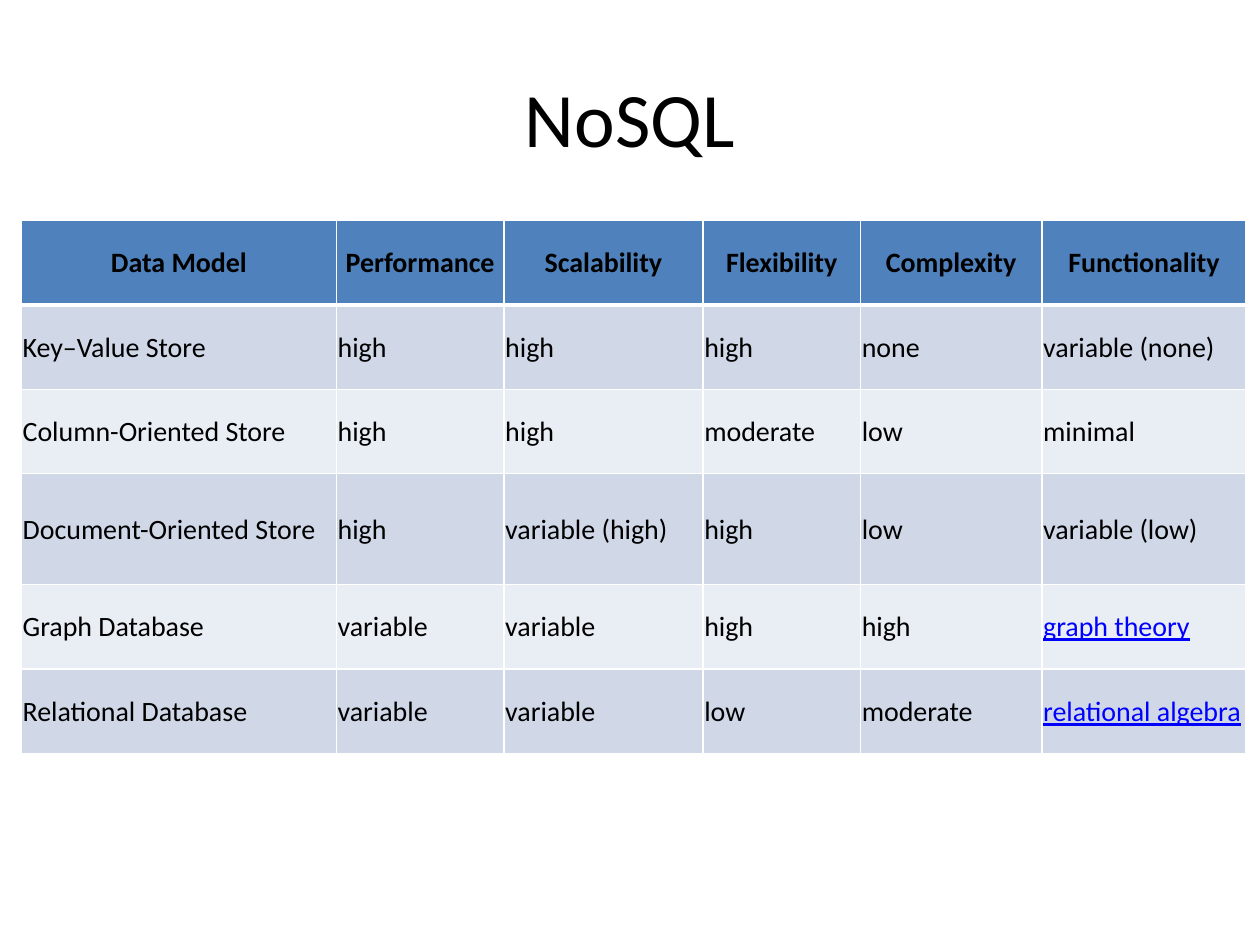
from lxml.etree import SubElement
from pptx import Presentation
from pptx.dml.color import RGBColor
from pptx.enum.text import MSO_ANCHOR, PP_ALIGN
from pptx.oxml.ns import qn
from pptx.util import Inches, Pt

COLORS = {
    "text": "000000",
    "link": "0000FF",
    "header": "4F81BD",
    "odd_row": "D0D8E8",
    "even_row": "E9EDF4",
    "border": "FFFFFF",
}
FONT = "Calibri"

COLUMN_WIDTHS = [2.5, 1.33, 1.58, 1.25, 1.44, 1.62]
ROW_HEIGHTS = [0.67, 0.67, 0.67, 0.88, 0.67, 0.67]
ROWS = [
    ["Data Model", "Performance", "Scalability", "Flexibility", "Complexity", "Functionality"],
    ["Key–Value Store", "high", "high", "high", "none", "variable (none)"],
    ["Column-Oriented Store", "high", "high", "moderate", "low", "minimal"],
    ["Document-Oriented Store", "high", "variable (high)", "high", "low", "variable (low)"],
    ["Graph Database", "variable", "variable", "high", "high", "graph theory"],
    ["Relational Database", "variable", "variable", "low", "moderate", "relational algebra"],
]
LINK_TEXTS = {"graph theory", "relational algebra"}


def set_attributes(target, values):
    for name, value in values.items():
        setattr(target, name, value)


def write_text(frame, text, align, color="text", **font_values):
    para = frame.paragraphs[0]
    para.alignment = align
    span = para.add_run()
    span.text = text
    set_attributes(span.font, {"name": FONT, **font_values})
    span.font.color.rgb = RGBColor.from_string(COLORS[color])


def add_title(page, text):
    box = page.shapes.add_textbox(Inches(0.5), Inches(0.3), Inches(9), Inches(1.25))
    set_attributes(box.text_frame, {"word_wrap": True, "vertical_anchor": MSO_ANCHOR.MIDDLE})
    write_text(box.text_frame, text, PP_ALIGN.CENTER, size=Pt(44))


def set_borders(cell, top, bottom):
    """Draw the four cell edges; the edges must come before the fill."""
    properties = cell._tc.get_or_add_tcPr()
    widths = {"a:lnL": 1, "a:lnR": 1, "a:lnT": top, "a:lnB": bottom}
    for index, (tag, width) in enumerate(widths.items()):
        line = SubElement(properties, qn(tag), w=str(Pt(width)))
        fill = SubElement(line, qn("a:solidFill"))
        SubElement(fill, qn("a:srgbClr"), val=COLORS["border"])
        properties.insert(index, line)


def format_cell(cell, text, row):
    is_header = row == 0
    is_link = text in LINK_TEXTS
    set_attributes(cell, {
        "vertical_anchor": MSO_ANCHOR.MIDDLE,
        "margin_left": Inches(0.01),
        "margin_top": Inches(0.01),
        "margin_right": Inches(0.01),
        "margin_bottom": 0,
    })
    fill_name = "header" if is_header else "odd_row" if row % 2 else "even_row"
    cell.fill.solid()
    cell.fill.fore_color.rgb = RGBColor.from_string(COLORS[fill_name])
    write_text(
        cell.text_frame, text,
        PP_ALIGN.CENTER if is_header else PP_ALIGN.LEFT,
        "link" if is_link else "text",
        size=Pt(16), bold=is_header, underline=is_link,
    )
    # A thick rule parts the header from the body
    set_borders(cell, top=3 if row == 1 else 1, bottom=3 if is_header else 1)


def add_comparison_table(page):
    table = page.shapes.add_table(
        len(ROWS), len(COLUMN_WIDTHS), Inches(0.17), Inches(1.75),
        Inches(sum(COLUMN_WIDTHS)), Inches(sum(ROW_HEIGHTS)),
    ).table
    for column, width in zip(table.columns, COLUMN_WIDTHS):
        column.width = Inches(width)
    for row, height in zip(table.rows, ROW_HEIGHTS):
        row.height = Inches(height)
    for row, texts in enumerate(ROWS):
        for column, text in enumerate(texts):
            format_cell(table.cell(row, column), text, row)


def main():
    deck = Presentation()
    set_attributes(deck, {"slide_width": Inches(10), "slide_height": Inches(7.5)})
    page = deck.slides.add_slide(deck.slide_layouts[6])

    # Heading
    add_title(page, "NoSQL")

    # Data models compared
    add_comparison_table(page)

    deck.save("out.pptx")


if __name__ == "__main__":
    main()
